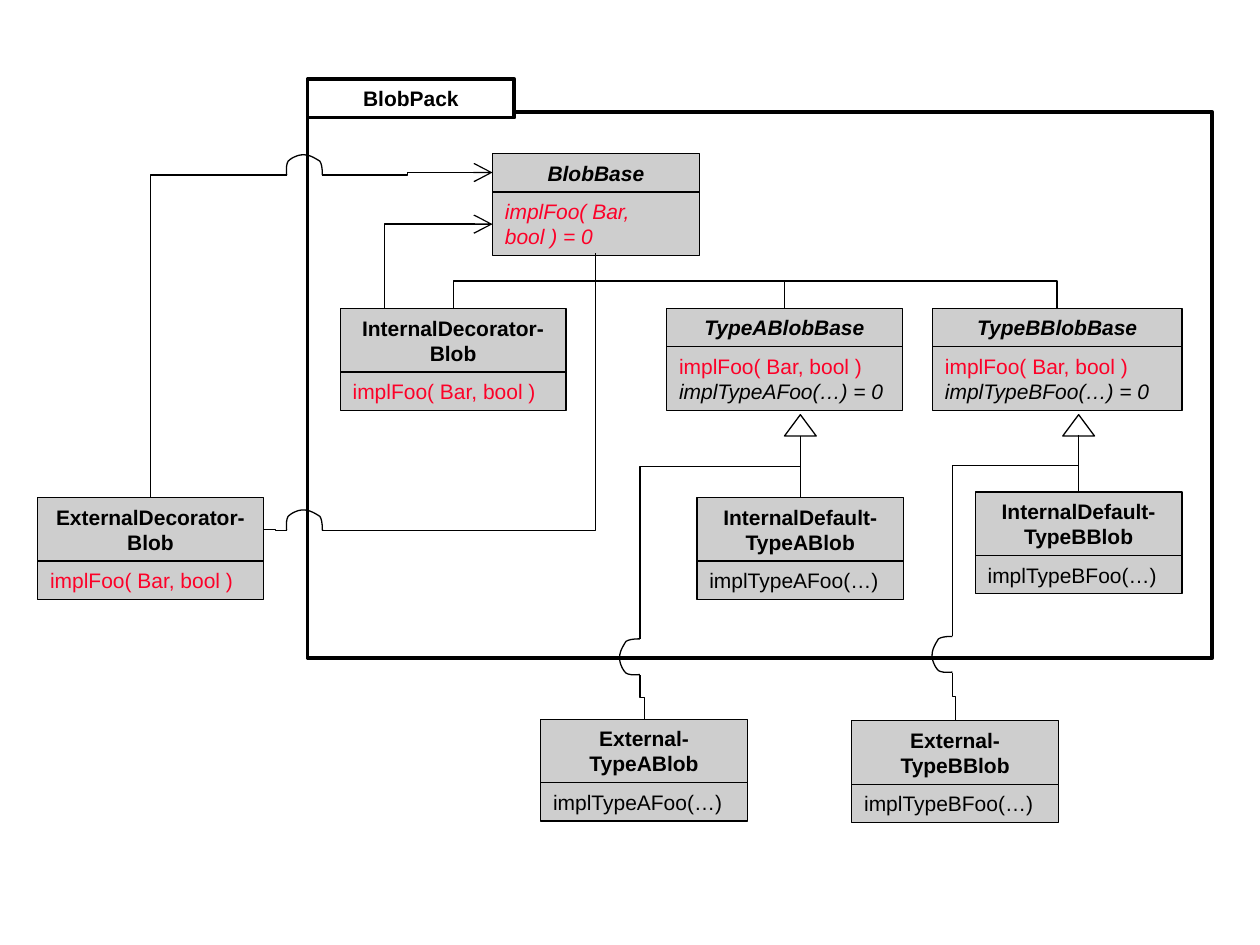
"""Build the BlobPack class diagram slide."""
from dataclasses import dataclass

from lxml import etree
from pptx import Presentation
from pptx.dml.color import RGBColor
from pptx.enum.shapes import MSO_CONNECTOR, MSO_SHAPE
from pptx.enum.text import MSO_ANCHOR, PP_ALIGN
from pptx.oxml.ns import qn
from pptx.util import Cm, Pt

RECTANGLE = MSO_SHAPE.RECTANGLE
TRIANGLE = MSO_SHAPE.ISOSCELES_TRIANGLE
STRAIGHT, ELBOW = MSO_CONNECTOR.STRAIGHT, MSO_CONNECTOR.ELBOW
CENTER, LEFT = PP_ALIGN.CENTER, PP_ALIGN.LEFT
MIDDLE = MSO_ANCHOR.MIDDLE
BLACK = RGBColor(0x00, 0x00, 0x00)
WHITE = RGBColor(0xFF, 0xFF, 0xFF)
GRAY = RGBColor(0xCE, 0xCE, 0xCE)
RED = RGBColor(0xFC, 0x01, 0x28)
THIN, THICK = 0.75, 2.25
CLASS_WIDTH, DECORATOR_WIDTH = 4.17, 4.55
ROW_TOP = 6.22
BASE_BOTTOM = (12.01, 5.11)
JUMP_CURVE = [
    (0, 0), (0, -0.05), (0, -0.2), (-0.05, -0.28), (-0.13, -0.33), (-0.25, -0.41),
    (-0.38, -0.41), (-0.48, -0.41), (-0.61, -0.36), (-0.69, -0.28), (-0.74, -0.2),
    (-0.72, -0.05), (-0.72, 0),
]
CURVE_STEPS = 6


@dataclass
class Span:
    text: str
    color: RGBColor = BLACK
    italic: bool = False
    bold: bool = False


@dataclass
class ClassBox:
    name: str
    left: float
    top: float
    members: list[Span]
    width: float = CLASS_WIDTH
    name_lines: int = 2
    member_lines: int = 1
    abstract: bool = False


@dataclass
class Elbow:
    start: tuple[float, float]
    end: tuple[float, float]
    bends: int = 2
    vertical: bool = True
    bend_at: float = 0.5
    arrow: bool = False


@dataclass
class Jump:
    left: float
    top: float
    vertical: bool = False


FOO = Span("implFoo( Bar, bool )", RED)
CLASSES = [
    ClassBox("BlobBase", 9.93, 3.1, [Span("implFoo( Bar, bool ) = 0", RED, True)],
             name_lines=1, member_lines=2, abstract=True),
    ClassBox("TypeABlobBase", 13.44, ROW_TOP, [FOO, Span(" implTypeAFoo(…) = 0", italic=True)],
             4.75, 1, 2, True),
    ClassBox("TypeBBlobBase", 18.8, ROW_TOP, [FOO, Span(" implTypeBFoo(…) = 0", italic=True)],
             5.03, 1, 2, True),
    ClassBox("InternalDecorator-Blob", 6.86, ROW_TOP, [FOO], DECORATOR_WIDTH),
    ClassBox("ExternalDecorator-Blob", 0.76, 10.03, [FOO], DECORATOR_WIDTH),
    ClassBox("External-TypeABlob", 10.9, 14.5, [Span("implTypeAFoo(…)")]),
    ClassBox("External-TypeBBlob", 17.17, 14.53, [Span("implTypeBFoo(…)")]),
]
DEFAULT_CLASSES = [
    ClassBox("InternalDefault-TypeABlob", 14.05, 10.03, [Span("implTypeAFoo(…)")]),
    ClassBox("InternalDefault-TypeBBlob", 19.66, 9.92, [Span("implTypeBFoo(…)")]),
]
ELBOWS = [
    Elbow(BASE_BOTTOM, (21.31, ROW_TOP)),
    Elbow(BASE_BOTTOM, (15.82, ROW_TOP)),
    Elbow(BASE_BOTTOM, (9.14, ROW_TOP)),
    Elbow(BASE_BOTTOM, (6.5, 10.69), bends=1),
    Elbow((7.75, ROW_TOP), (9.93, 4.52), bends=1, arrow=True),
    Elbow((21.74, 8.77), (19.2, 12.83), bend_at=0.15),
    Elbow((16.13, 8.79), (12.9, 12.88), bend_at=0.15),
    Elbow((6.5, 3.53), (9.93, 3.48), vertical=False, arrow=True),
    Elbow((5.79, 10.69), (5.31, 10.67), vertical=False),
    Elbow((5.79, 3.53), (3.03, 10.03), bends=1, vertical=False),
    Elbow((12.9, 13.61), (12.99, 14.5)),
    Elbow((19.2, 13.56), (19.26, 14.53)),
]
JUMPS = [Jump(6.5, 10.69), Jump(6.5, 3.53), Jump(12.9, 12.88, True), Jump(19.2, 12.83, True)]


def draw_shape(page, kind, left: float, top: float, width: float, height: float,
               fill: RGBColor | None, weight: float = THIN):
    shape = page.shapes.add_shape(kind, Cm(left), Cm(top), Cm(width), Cm(height))
    shape.shadow.inherit = False
    if fill is None:
        shape.fill.background()
    else:
        shape.fill.solid()
        shape.fill.fore_color.rgb = fill
    shape.line.color.rgb = BLACK
    shape.line.width = Pt(weight)
    return shape


def write(shape, spans: list[Span], align) -> None:
    frame = shape.text_frame
    frame.word_wrap = True
    frame.vertical_anchor = MIDDLE
    paragraph = frame.paragraphs[0]
    paragraph.alignment = align
    for span in spans:
        run = paragraph.add_run()
        run.text = span.text
        run.font.name = "Arial"
        run.font.size = Pt(12)
        run.font.bold = span.bold
        run.font.italic = span.italic
        run.font.color.rgb = span.color


def text_height(lines: int) -> float:
    return 0.26 + 0.51 * lines


def draw_class(page, item: ClassBox):
    name_height = text_height(item.name_lines)
    head = draw_shape(page, RECTANGLE, item.left, item.top, item.width, name_height, GRAY)
    write(head, [Span(item.name, italic=item.abstract, bold=True)], CENTER)
    body = draw_shape(page, RECTANGLE, item.left, item.top + name_height, item.width,
                      text_height(item.member_lines), GRAY)
    write(body, item.members, LEFT)
    return head


def style_connector(connector) -> None:
    connector.line.color.rgb = BLACK
    connector.line.width = Pt(THIN)
    etree.SubElement(connector._element.spPr, qn("a:effectLst"))


def draw_elbow(page, item: Elbow) -> None:
    (x1, y1), (x2, y2) = item.start, item.end
    run, rise = (y2 - y1, x1 - x2) if item.vertical else (x2 - x1, y2 - y1)
    mid_x, mid_y = (x1 + x2) / 2, (y1 + y2) / 2
    connector = page.shapes.add_connector(
        ELBOW, Cm(mid_x - run / 2), Cm(mid_y - rise / 2),
        Cm(mid_x + run / 2), Cm(mid_y + rise / 2))
    style_connector(connector)
    properties = connector._element.spPr
    if item.vertical:
        properties.find(qn("a:xfrm")).set("rot", "5400000")
    geometry = properties.find(qn("a:prstGeom"))
    geometry.set("prst", f"bentConnector{item.bends + 1}")
    if item.bends == 2:
        guides = geometry.find(qn("a:avLst"))
        etree.SubElement(guides, qn("a:gd"), name="adj1",
                         fmla=f"val {round(item.bend_at * 100000)}")
    if item.arrow:
        etree.SubElement(properties.find(qn("a:ln")), qn("a:tailEnd"),
                         type="arrow", w="lg", len="lg")


def curve_points() -> list[tuple[float, float]]:
    points = [JUMP_CURVE[0]]
    for first in range(0, len(JUMP_CURVE) - 1, 3):
        corners = JUMP_CURVE[first:first + 4]
        for step in range(1, CURVE_STEPS + 1):
            t = step / CURVE_STEPS
            weights = ((1 - t) ** 3, 3 * t * (1 - t) ** 2, 3 * t * t * (1 - t), t ** 3)
            points.append(tuple(sum(w * corner[axis] for w, corner in zip(weights, corners))
                                for axis in (0, 1)))
    return points


def draw_jump(page, item: Jump) -> None:
    offsets = [(y, -x) if item.vertical else (x, y) for x, y in curve_points()]
    points = [(Cm(item.left + x), Cm(item.top + y)) for x, y in offsets]
    builder = page.shapes.build_freeform(*points[0])
    builder.add_line_segments(points[1:], close=False)
    shape = builder.convert_to_shape()
    shape.shadow.inherit = False
    shape.fill.background()
    shape.line.color.rgb = BLACK
    shape.line.width = Pt(THIN)


def draw_inheritance(page, item: ClassBox) -> None:
    head = draw_class(page, item)
    center = item.left + item.width / 2
    draw_shape(page, TRIANGLE, center - 0.32, 8.36, 0.64, 0.43, WHITE)
    connector = page.shapes.add_connector(STRAIGHT, Cm(center), Cm(8.79), Cm(center), Cm(item.top))
    connector.end_connect(head, 0)
    style_connector(connector)


def main() -> None:
    deck = Presentation()
    deck.slide_width, deck.slide_height = Cm(25.4), Cm(19.05)
    page = deck.slides.add_slide(deck.slide_layouts[6])
    for item in CLASSES:
        draw_class(page, item)
    for item in DEFAULT_CLASSES:
        draw_inheritance(page, item)
    draw_shape(page, RECTANGLE, 6.2, 2.26, 18.24, 11, None, THICK)
    tab = draw_shape(page, RECTANGLE, 6.2, 1.6, CLASS_WIDTH, text_height(1), WHITE, THICK)
    write(tab, [Span("BlobPack", bold=True)], CENTER)
    for elbow in ELBOWS:
        draw_elbow(page, elbow)
    for jump in JUMPS:
        draw_jump(page, jump)
    deck.save("out.pptx")


if __name__ == "__main__":
    main()
